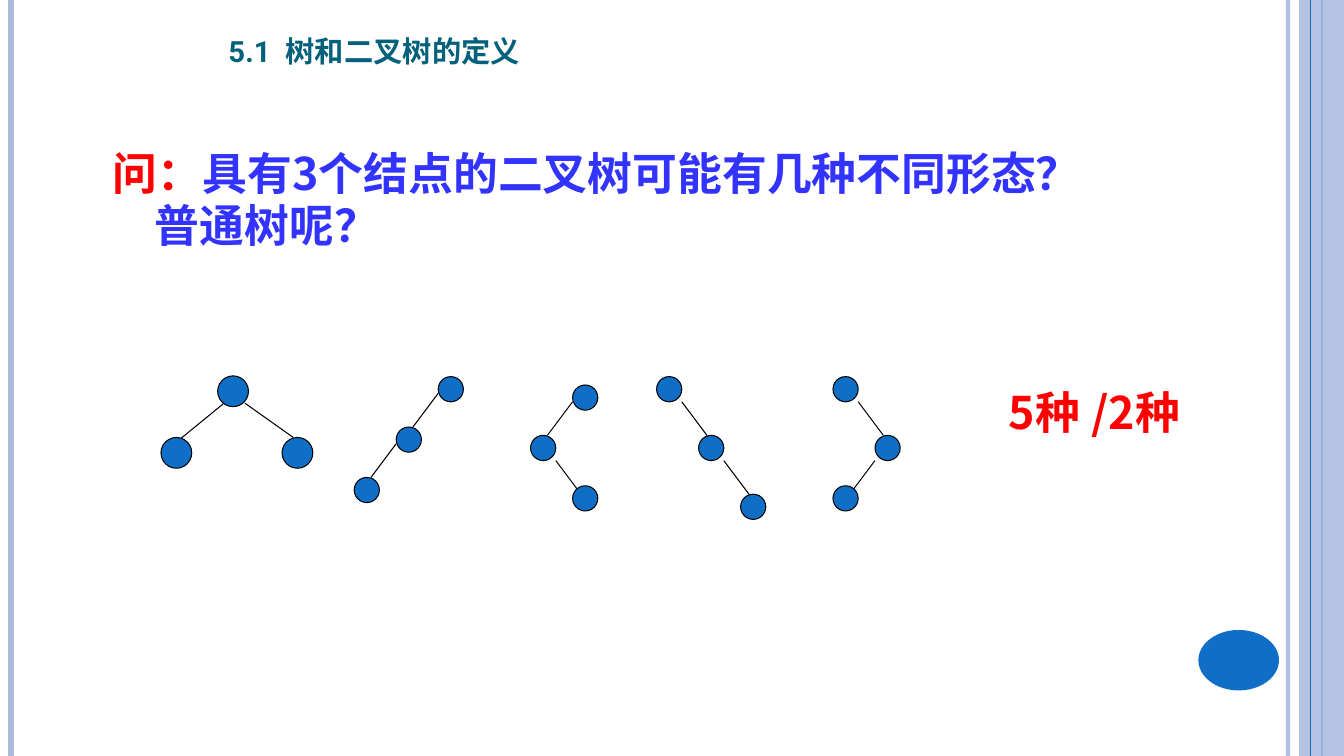
import pptx
import pptx.dml.color
import pptx.enum.shapes
import pptx.enum.text
import pptx.oxml.ns
import pptx.util
import lxml.etree

Pt = pptx.util.Pt
qn = pptx.oxml.ns.qn
WIDTH, HEIGHT = 960, 540
COLORS = {"band": "ABBBDF", "blue": "0F6FC6", "black": "000000",
          "red": "FF0000", "question": "3333FF", "title": "04617B"}
CJK, LATIN = "Noto Sans CJK SC", "Roboto"
BIG, SMALL = 22, 18  # node diameters

# Each tree: node diameter, node corners (x, y), edges (x, y, dx, dy)
TREES = [
    (BIG, [(155.5, 268.5), (201.5, 312.5), (115, 312.5)],
     [(160, 288, -33, 27), (175, 288, 34.5, 24.5)]),
    (SMALL, [(313, 269), (283, 305), (253, 341)],
     [(313, 281, -18, 24), (283, 317, -18, 24)]),
    (SMALL, [(409, 275), (379, 311), (409, 347)],
     [(409, 287, -18, 24), (397, 329, 18, 24)]),
    (SMALL, [(469, 269), (499, 311), (529, 353)],
     [(487, 287, 18, 24), (517, 329, 18, 24)]),
    (SMALL, [(595, 269), (625, 311), (595, 347)],
     [(613, 287, 18, 24), (625, 329, -18, 24)]),
]


class SlideBuilder:
    def __init__(self, slide):
        self.slide = slide

    def color(self, name):
        return pptx.dml.color.RGBColor.from_string(COLORS[name])

    def set_alpha(self, element, percent):
        """Give the solid colour inside element an opacity in percent."""
        color = element.find(".//" + qn("a:srgbClr"))
        lxml.etree.SubElement(color, qn("a:alpha"), val=str(percent * 1000))

    def line(self, x, y, dx, dy, color="black", width=0.75, alpha=100, parent=None):
        shapes = (parent or self.slide).shapes
        line = shapes.add_connector(pptx.enum.shapes.MSO_CONNECTOR.STRAIGHT,
                                    Pt(x), Pt(y), Pt(x + dx), Pt(y + dy))
        line.line.color.rgb = self.color(color)
        line.line.width = Pt(width)
        if alpha < 100:
            self.set_alpha(line.line._get_or_add_ln(), alpha)
        properties = line._element.spPr
        lxml.etree.SubElement(properties, qn("a:effectLst"))

    def shape(self, kind, x, y, width, height, fill, outline=None, alpha=100, parent=None):
        shapes = (parent or self.slide).shapes
        shape = shapes.add_shape(kind, Pt(x), Pt(y), Pt(width), Pt(height))
        shape.shadow.inherit = False
        shape.fill.solid()
        shape.fill.fore_color.rgb = self.color(fill)
        if alpha < 100:
            self.set_alpha(shape._element.spPr, alpha)
        if outline:
            shape.line.color.rgb = self.color(outline)
            shape.line.width = Pt(0.75)
        else:
            shape.line.fill.background()

    def ellipse(self, *geometry, **style):
        self.shape(pptx.enum.shapes.MSO_SHAPE.OVAL, *geometry, **style)

    def tree(self, diameter, nodes, edges):
        group = self.slide.shapes.add_group_shape()
        for edge in edges:
            self.line(*edge, parent=group)
        for x, y in nodes:
            self.ellipse(x, y, diameter, diameter, fill="blue", outline="black", parent=group)

    def place(self, box, x, y, width, height):
        box.left, box.top, box.width, box.height = Pt(x), Pt(y), Pt(width), Pt(height)
        box.text_frame.word_wrap = True
        box.text_frame.auto_size = pptx.enum.text.MSO_AUTO_SIZE.NONE

    def span(self, para, text, color, size=32, font=CJK):
        span = para.add_run()
        span.text = text
        span.font.size, span.font.bold, span.font.name = Pt(size), True, font
        span.font.color.rgb = self.color(color)
        properties = span._r.get_or_add_rPr()
        lxml.etree.SubElement(properties, qn("a:ea"), typeface=CJK)
        return span

    def format_para(self, para, indent=0):
        para.alignment = pptx.enum.text.PP_ALIGN.LEFT
        para.line_spacing = 0.8
        para.space_before = Pt(6.4)
        properties = para._p.get_or_add_pPr()
        properties.set("marL", str(Pt(indent)))
        properties.set("indent", "0")
        lxml.etree.SubElement(properties, qn("a:buNone"))

    def title(self, text, *geometry):
        box = self.slide.shapes.title
        self.place(box, *geometry)
        box.text_frame.vertical_anchor = pptx.enum.text.MSO_ANCHOR.BOTTOM
        para = box.text_frame.paragraphs[0]
        para.alignment = pptx.enum.text.PP_ALIGN.LEFT
        span = self.span(para, text, "title", 26.2, LATIN)
        span._r.get_or_add_rPr().set("cap", "small")

    def body(self, lines, *geometry):
        """Fill the body placeholder from (indent, [(text, color), ...]) lines."""
        box = self.slide.placeholders[1]
        self.place(box, *geometry)
        for number, (indent, spans) in enumerate(lines):
            frame = box.text_frame
            para = frame.add_paragraph() if number else frame.paragraphs[0]
            self.format_para(para, indent)
            for text, color in spans:
                self.span(para, text, color)

    def label(self, text, *geometry):
        box = self.slide.shapes.add_textbox(0, 0, 0, 0)
        self.place(box, *geometry)
        para = box.text_frame.paragraphs[0]
        self.format_para(para)
        self.span(para, text, "red")


def main():
    deck = pptx.Presentation()
    deck.slide_width, deck.slide_height = Pt(WIDTH), Pt(HEIGHT)
    page = SlideBuilder(deck.slides.add_slide(deck.slide_layouts[1]))

    page.line(920, 0, 0, HEIGHT, "band", 3, alpha=93)
    page.line(8, 0, 0, HEIGHT, "band", 4.5)
    page.line(944, 0, 0, HEIGHT, "blue", 1.5)
    page.shape(pptx.enum.shapes.MSO_SHAPE.RECTANGLE, 928, 0, 32, HEIGHT, "band", alpha=87)
    page.line(936, 0, 0, HEIGHT, "blue")
    page.ellipse(856, 450, 57.6, 43.2, fill="blue")

    page.title("5.1  树和二叉树的定义", 156, 9.5, 387, 44)
    page.body([
        (0, [("问：", "red"), ("具有3个结点的二叉树可能有几种不同形态？", "question")]),
        (30, [("普通树呢？", "question")]),
    ], 73.5, 108, 787, 92)
    for tree in TREES:
        page.tree(*tree)
    page.label("5种", 713.5, 278.5, 102, 46)
    page.label("/2种", 772.5, 278.5, 95, 46)
    deck.save("out.pptx")


if __name__ == "__main__":
    main()
